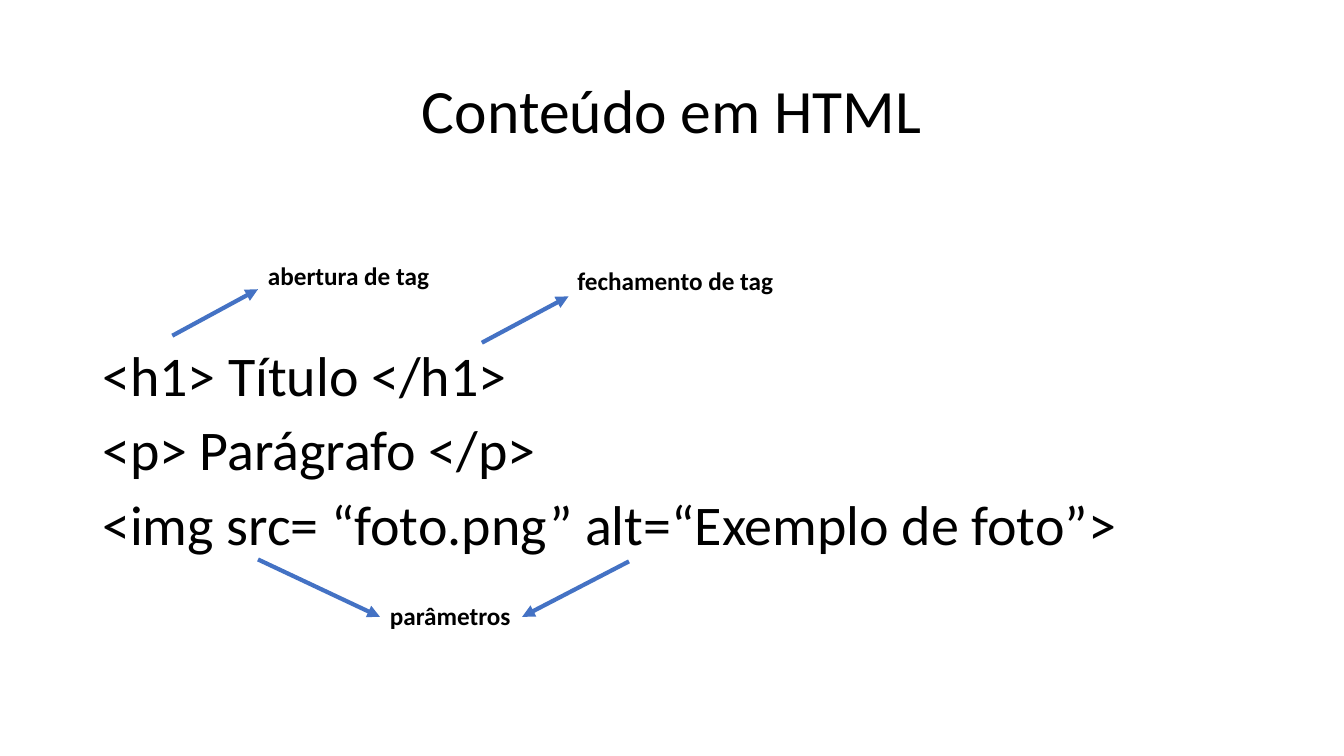
from pptx import Presentation
from pptx.dml.color import RGBColor
from pptx.enum.shapes import MSO_CONNECTOR
from pptx.enum.text import MSO_ANCHOR, PP_ALIGN
from pptx.oxml.ns import qn
from pptx.util import Pt
from lxml.etree import SubElement

BLACK = RGBColor(0x00, 0x00, 0x00)
BLUE = RGBColor(0x44, 0x72, 0xC4)

presentation = Presentation()
presentation.slide_width = Pt(960)
presentation.slide_height = Pt(540)
slide = presentation.slides.add_slide(presentation.slide_layouts[6])


def add_text(box, lines, size, bold=False, wrap=True):
    shape = slide.shapes.add_textbox(*[Pt(length) for length in box])
    text_frame = shape.text_frame
    text_frame.word_wrap = wrap
    text_frame.text = "\n".join(lines)
    for paragraph in text_frame.paragraphs:
        for run in paragraph.runs:
            run.font.name = "Calibri"
            run.font.size = Pt(size)
            run.font.bold = bold
            run.font.color.rgb = BLACK
    return text_frame


title = add_text((66, 28.75, 828, 104.4), ["Conteúdo em HTML"], 44)
title.vertical_anchor = MSO_ANCHOR.MIDDLE
title.paragraphs[0].alignment = PP_ALIGN.CENTER
title.paragraphs[0].line_spacing = 0.9

code_lines = [
    "<h1> Título </h1>",
    "<p> Parágrafo </p>",
    "<img src= “foto.png” alt=“Exemplo de foto”>",
]
code = add_text((66, 244.8, 828, 190.8), code_lines, 40)
for index, paragraph in enumerate(code.paragraphs):
    paragraph.line_spacing = 0.9
    if index:
        paragraph.space_before = Pt(10)

labels = [
    ("abertura de tag", 184.3, 182.2, 130.3),
    ("fechamento de tag", 405.4, 185.8, 155.5),
    ("parâmetros", 271.4, 425.5, 101.5),
]
for label, left, top, width in labels:
    add_text((left, top, width, 29), [label], 18, bold=True, wrap=False)

arrows = [
    (123.1, 239.8, 184.3, 206.6),
    (344.2, 244.8, 406.1, 211.7),
    (184.3, 399.6, 271.4, 440.6),
    (449.3, 401, 373, 440.6),
]
for ends in arrows:
    arrow = slide.shapes.add_connector(
        MSO_CONNECTOR.STRAIGHT, *[Pt(length) for length in ends]
    )
    arrow.line.color.rgb = BLUE
    arrow.line.width = Pt(3)
    SubElement(arrow.line._get_or_add_ln(), qn("a:tailEnd"), type="triangle")
    SubElement(arrow._element.spPr, qn("a:effectLst"))

presentation.save("out.pptx")
